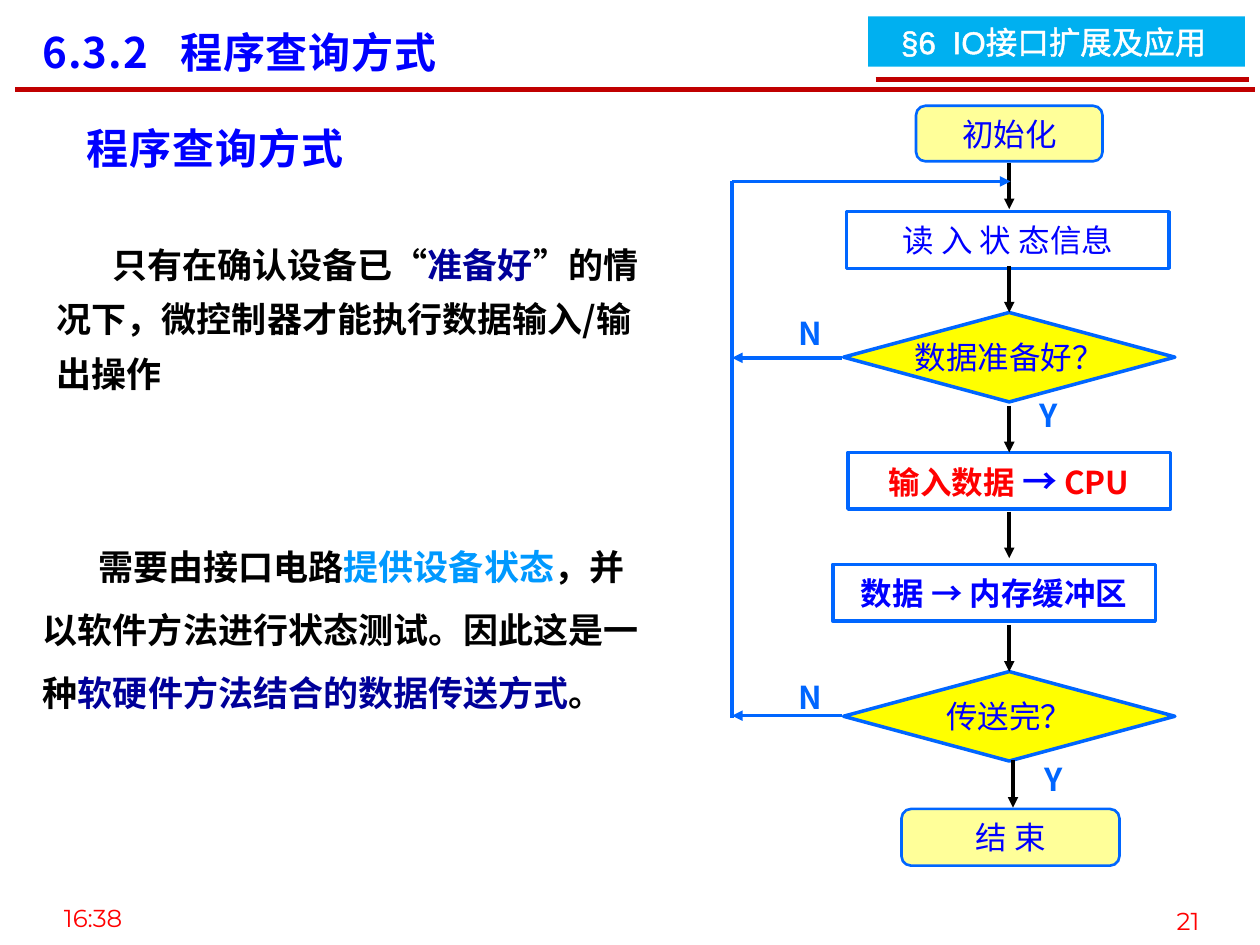
import pptx
import pptx.util
import pptx.dml.color
import pptx.enum.shapes
import pptx.enum.text
import pptx.oxml.ns
from lxml import etree

RGBColor = pptx.dml.color.RGBColor
Shape = pptx.enum.shapes.MSO_SHAPE
Align = pptx.enum.text.PP_ALIGN
Anchor = pptx.enum.text.MSO_ANCHOR
qn = pptx.oxml.ns.qn

WHITE = RGBColor(0xFF, 0xFF, 0xFF)
BLACK = RGBColor(0, 0, 0)
BLUE = RGBColor(0, 0, 0xFF)
NAVY = RGBColor(0, 0, 0x99)
SKY = RGBColor(0, 0x99, 0xFF)
FLOW = RGBColor(0, 0x66, 0xFF)
CYAN = RGBColor(0, 0xB0, 0xF0)
RED = RGBColor(0xFF, 0, 0)
DARK_RED = RGBColor(0xC0, 0, 0)
YELLOW = RGBColor(0xFF, 0xFF, 0)
CREAM = RGBColor(0xFF, 0xFF, 0x99)

CJK = "Noto Sans CJK SC"
CELL = pptx.util.Inches(0.1)
COLUMNS, ROWS = 100, 75
FLOW_CENTRE = 80.1
LOOP_LEFT = 58.1


def cells(*counts):
    return [round(count * CELL) for count in counts]


def add_run(paragraph, text, size, color, bold=False, font_name=CJK, spacing=0):
    run = paragraph.add_run()
    run.text = text
    font = run.font
    font.size = pptx.util.Pt(size)
    font.bold = bold
    font.color.rgb = color
    font.name = font_name
    properties = run._r.get_or_add_rPr()
    etree.SubElement(properties, qn("a:ea")).set("typeface", font_name)
    if spacing:
        properties.set("spc", str(spacing))
    return run


def add_tab_stop(paragraph, position):
    tabs = etree.SubElement(paragraph._p.get_or_add_pPr(), qn("a:tabLst"))
    etree.SubElement(tabs, qn("a:tab"), pos=str(cells(position)[0]), algn="l")


def place(shape, area):
    shape.left, shape.top, shape.width, shape.height = cells(*area)


def prepare_frame(shape, anchor=Anchor.TOP, wrap=True, margins=None):
    frame = shape.text_frame
    frame.auto_size = pptx.enum.text.MSO_AUTO_SIZE.NONE
    frame.word_wrap = wrap
    frame.vertical_anchor = anchor
    if margins is not None:
        frame.margin_left = frame.margin_right = margins
        frame.margin_top = frame.margin_bottom = margins
    return frame.paragraphs[0]


def fill_title(slide):
    title = slide.shapes.title
    place(title, (2.4, 1.6, 33.3, 5))
    paragraph = prepare_frame(title, wrap=False)
    paragraph.alignment = Align.LEFT
    add_tab_stop(paragraph, 10.9)
    add_run(paragraph, "6.3.2\t程序查询方式", 24, BLUE, True, spacing=50)


def fill_body(placeholder, area, line_spacing, runs):
    place(placeholder, area)
    paragraph = prepare_frame(placeholder)
    properties = paragraph._p.get_or_add_pPr()
    properties.set("marL", "0")
    properties.set("indent", str(cells(4.4)[0]))
    etree.SubElement(properties, qn("a:buNone"))
    paragraph.line_spacing = line_spacing
    paragraph.space_before = pptx.util.Pt(0)
    for text, color in runs:
        add_run(paragraph, text, 20, color, True)


def add_label(slide, area, text, size, color, bold=False, font_name=CJK):
    label = slide.shapes.add_textbox(*cells(*area))
    paragraph = prepare_frame(label, Anchor.MIDDLE, margins=0)
    paragraph.alignment = Align.CENTER
    add_run(paragraph, text, size, color, bold, font_name)


def add_heading(slide):
    heading = slide.shapes.add_textbox(*cells(5.9, 9.2, 22.6, 5))
    paragraph = prepare_frame(heading, wrap=False)
    add_run(paragraph, "程序查询方式", 24, BLUE, True, spacing=50)


def add_box(slide, kind, area, fill, line=None, line_width=2):
    box = slide.shapes.add_shape(kind, *cells(*area))
    box.shadow.inherit = False
    box.fill.solid()
    box.fill.fore_color.rgb = fill
    if line is None:
        box.line.fill.background()
    else:
        box.line.color.rgb = line
        box.line.width = pptx.util.Pt(line_width)
    return box


def add_step(slide, kind, centre, top, size, fill, runs, line_width=2):
    width, height = size
    area = (centre - width / 2, top, width, height)
    step = add_box(slide, kind, area, fill, FLOW, line_width)
    paragraph = prepare_frame(step, Anchor.MIDDLE, wrap=False)
    paragraph.alignment = Align.CENTER
    for text, text_size, color, bold in runs:
        add_run(paragraph, text, text_size, color, bold)


def add_line(slide, start, end, color, width=2, arrow=False):
    line = slide.shapes.add_connector(
        pptx.enum.shapes.MSO_CONNECTOR.STRAIGHT, *cells(*start, *end))
    line.line.color.rgb = color
    line.line.width = pptx.util.Pt(width)
    if arrow:
        etree.SubElement(line.line._get_or_add_ln(), qn("a:tailEnd"), type="triangle")
    etree.SubElement(line._element.spPr, qn("a:effectLst"))


def add_banner(slide):
    banner = add_box(slide, Shape.RECTANGLE, (68.9, 1.3, 29.9, 4), CYAN)
    paragraph = prepare_frame(banner, Anchor.MIDDLE)
    banner.text_frame.margin_left = cells(2.6)[0]
    paragraph.alignment = Align.LEFT
    add_tab_stop(paragraph, 4.1)
    run = add_run(paragraph, "§6\tIO接口扩展及应用", 18, WHITE, font_name="Arial")
    outline = etree.Element(qn("a:ln"), w=str(pptx.util.Pt(1.45)))
    solid = etree.SubElement(outline, qn("a:solidFill"))
    etree.SubElement(solid, qn("a:srgbClr"), val=str(WHITE))
    run._r.get_or_add_rPr().insert(0, outline)


def add_frame(slide):
    add_line(slide, (1.2, 7.1), (99.6, 7.1), DARK_RED, 3)
    add_line(slide, (69.5, 6.3), (99.1, 6.3), DARK_RED, 3)
    add_banner(slide)
    add_label(slide, (2.3, 71.1, 10.2, 3.5), "16:38", 14, RED, font_name="Montserrat")
    add_label(slide, (90.6, 71.3, 7.4, 3.5), "21", 14, RED, font_name="Montserrat")


def add_flowchart(slide):
    box_size, decision_size = (25.6, 4.5), (26.3, 7.1)
    for centre, top, text in ((FLOW_CENTRE, 24.8, "数据准备好？"),
                              (FLOW_CENTRE, 53.3, "传送完？")):
        add_step(slide, Shape.DIAMOND, centre, top, decision_size, YELLOW,
                 [(text, 18, BLUE, False)])
    for centre, top, runs in (
            (80, 16.8, [("读 入 状 态信息", 18, BLUE, False)]),
            (FLOW_CENTRE, 35.9, [("输入数据 ", 18, RED, True), ("→", 20, BLUE, True),
                                 (" CPU", 18, RED, True)]),
            (78.9, 44.8, [("数据 → 内存缓冲区", 18, BLUE, True)])):
        add_step(slide, Shape.RECTANGLE, centre, top, box_size, WHITE, runs)
    for kind, centre, top, size, text in (
            (Shape.ROUNDED_RECTANGLE, FLOW_CENTRE, 8.4, (14.8, 4.4), "初始化"),
            (Shape.FLOWCHART_ALTERNATE_PROCESS, 80.2, 64.2, (17.3, 4.5), "结 束")):
        add_step(slide, kind, centre, top, size, CREAM, [(text, 18, BLUE, False)], 1.5)

    for top in (12.9, 21.1, 32.2, 40.6, 49.6):
        add_line(slide, (FLOW_CENTRE, top), (FLOW_CENTRE, top + 3.7), BLACK, arrow=True)
    add_line(slide, (80.4, 60.3), (80.4, 64.1), BLACK, arrow=True)

    for row in (28.4, 56.8):
        add_line(slide, (66.8, row), (LOOP_LEFT, row), FLOW, arrow=True)
    add_line(slide, (LOOP_LEFT, 57), (LOOP_LEFT, 14.4), FLOW)
    add_line(slide, (LOOP_LEFT, 14.4), (80.2, 14.4), FLOW, arrow=True)

    for text, left, top, width in (("N", 61.7, 24.9, 5.2), ("Y", 81, 31.4, 4.4),
                                   ("N", 61.7, 53.8, 5.2), ("Y", 81, 60.3, 5.2)):
        add_label(slide, (left, top, width, 3), text, 18, FLOW, True)


def main():
    presentation = pptx.Presentation()
    presentation.slide_width, presentation.slide_height = cells(COLUMNS, ROWS)
    slide = presentation.slides.add_slide(presentation.slide_layouts[3])
    add_frame(slide)
    fill_title(slide)
    add_heading(slide)
    fill_body(slide.placeholders[1], (3.5, 17.8, 49.7, 13.7), 1.3, [
        ("只有在确认设备已“", BLACK), ("准备好", NAVY),
        ("”的情况下，微控制器才能执行数据输入/输出操作", BLACK)])
    fill_body(slide.placeholders[2], (2.4, 41.1, 50.5, 15.6), 1.5, [
        ("需要由接口电路", BLACK), ("提供设备状态", SKY),
        ("，并以软件方法进行状态测试。因此这是一种", BLACK),
        ("软硬件方法结合的数据传送方式", NAVY), ("。", BLACK)])
    add_flowchart(slide)
    presentation.save("out.pptx")


if __name__ == "__main__":
    main()
